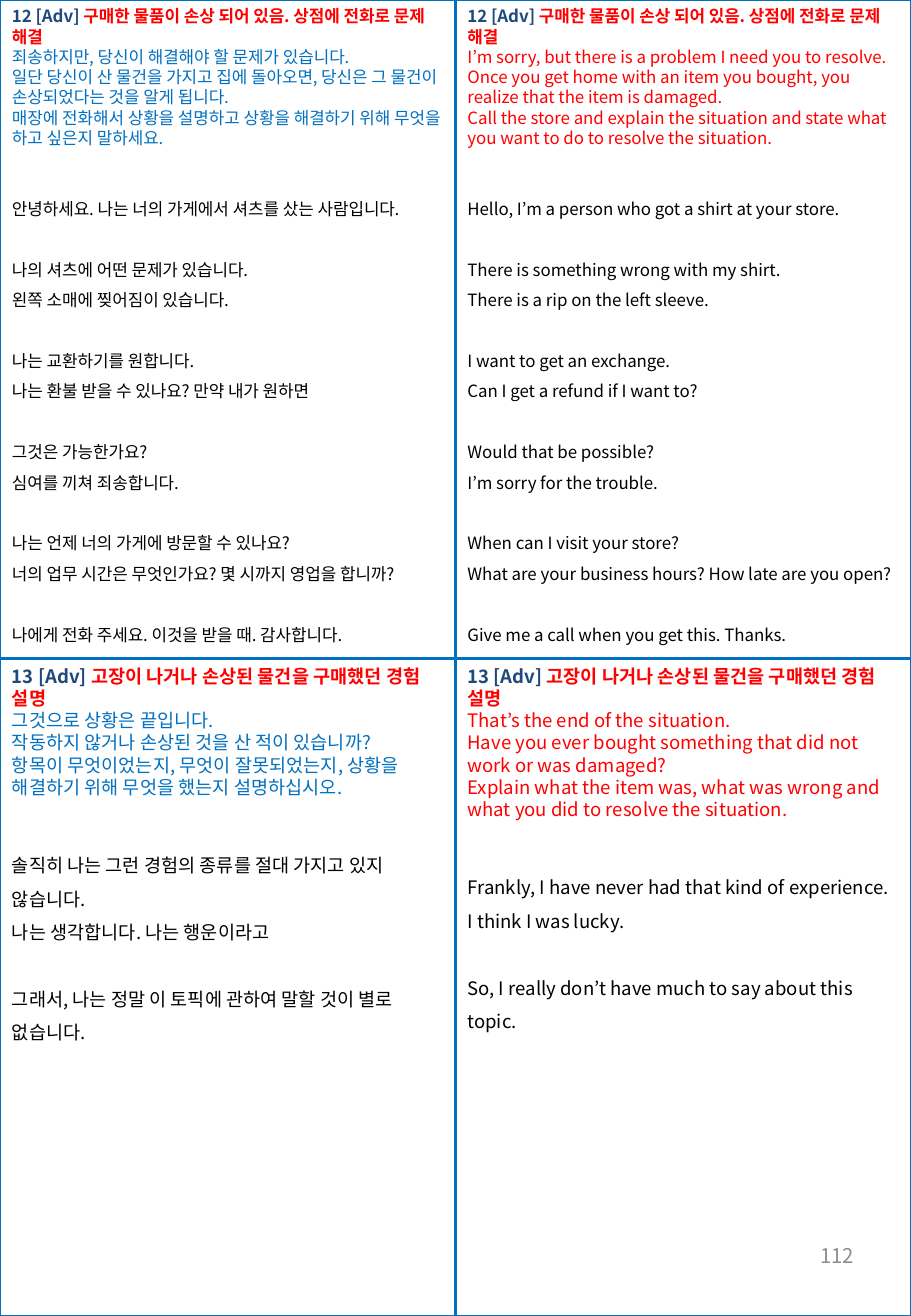
from dataclasses import dataclass

from lxml import etree
from pptx import Presentation
from pptx.dml.color import RGBColor
from pptx.enum.shapes import MSO_CONNECTOR, MSO_SHAPE
from pptx.enum.text import MSO_ANCHOR, MSO_AUTO_SIZE, PP_ALIGN
from pptx.oxml.ns import qn
from pptx.util import Emu, Pt

STRAIGHT = MSO_CONNECTOR.STRAIGHT
RECTANGLE = MSO_SHAPE.RECTANGLE
MIDDLE = MSO_ANCHOR.MIDDLE
FIT_TEXT = MSO_AUTO_SIZE.SHAPE_TO_FIT_TEXT
RIGHT = PP_ALIGN.RIGHT

EMU_PER_PX = 9144
PAGE_W, PAGE_H = 750, 1083
MID_X, MID_Y = PAGE_W // 2, 542
RULE_WIDTH = Pt(1.5)
FONT = "Noto Sans CJK KR"
LINE_HEIGHT = 1.2
ANSWER_SPACING = 1.5
COLORS = {
    "blue": "0070C0",
    "red": "FF0000",
    "navy": "1F497D",
    "black": "000000",
    "gray": "8C8C8C",
}


@dataclass(frozen=True)
class Card:
    left: int
    top: int
    height: int
    size: int
    number: str
    title: str
    question_color: str
    question: tuple[str, ...]
    answer: tuple[tuple[str, ...], ...]


DAMAGED_TITLE = "구매한 물품이 손상 되어 있음. 상점에 전화로 문제 해결"
EXPERIENCE_TITLE = "고장이 나거나 손상된 물건을 구매했던 경험 설명"

CARDS = (
    Card(
        0, 0, 537, 10, "12 [Adv] ", DAMAGED_TITLE, "blue",
        (
            "죄송하지만, 당신이 해결해야 할 문제가 있습니다.",
            "일단 당신이 산 물건을 가지고 집에 돌아오면, 당신은 그 물건이 손상되었다는 것을 알게 됩니다.",
            "매장에 전화해서 상황을 설명하고 상황을 해결하기 위해 무엇을 하고 싶은지 말하세요.",
        ),
        (
            ("안녕하세요. 나는 너의 가게에서 셔츠를 샀는 사람입니다.",),
            ("나의 셔츠에 어떤 문제가 있습니다.", "왼쪽 소매에 찢어짐이 있습니다."),
            ("나는 교환하기를 원합니다.", "나는 환불 받을 수 있나요? 만약 내가 원하면"),
            ("그것은 가능한가요?", "심여를 끼쳐 죄송합니다."),
            ("나는 언제 너의 가게에 방문할 수 있나요?",
             "너의 업무 시간은 무엇인가요? 몇 시까지 영업을 합니까?"),
            ("나에게 전화 주세요. 이것을 받을 때. 감사합니다.",),
        ),
    ),
    Card(
        MID_X, 0, 550, 10, "12 [Adv] ", DAMAGED_TITLE, "red",
        (
            "I’m sorry, but there is a problem I need you to resolve.",
            "Once you get home with an item you bought, you realize that the item is damaged.",
            "Call the store and explain the situation and state what you want to do to resolve the situation.",
        ),
        (
            ("Hello, I’m a person who got a shirt at your store.",),
            ("There is something wrong with my shirt.", "There is a rip on the left sleeve."),
            ("I want to get an exchange.", "Can I get a refund if I want to?"),
            ("Would that be possible?", "I’m sorry for the trouble."),
            ("When can I visit your store?",
             "What are your business hours? How late are you open?"),
            ("Give me a call when you get this. Thanks.",),
        ),
    ),
    Card(
        0, MID_Y, 320, 11, "13 [Adv] ", EXPERIENCE_TITLE, "blue",
        (
            "그것으로 상황은 끝입니다.",
            "작동하지 않거나 손상된 것을 산 적이 있습니까?",
            "항목이 무엇이었는지, 무엇이 잘못되었는지, 상황을 해결하기 위해 무엇을 했는지 설명하십시오.",
        ),
        (
            ("솔직히 나는 그런 경험의 종류를 절대 가지고 있지 않습니다.",
             "나는 생각합니다. 나는 행운이라고"),
            ("그래서, 나는 정말 이 토픽에 관하여 말할 것이 별로 없습니다.",),
        ),
    ),
    Card(
        MID_X, MID_Y, 310, 11, "13 [Adv] ", EXPERIENCE_TITLE, "red",
        (
            "That’s the end of the situation.",
            "Have you ever bought something that did not work or was damaged?",
            "Explain what the item was, what was wrong and what you did to resolve the situation.",
        ),
        (
            ("Frankly, I have never had that kind of experience.", "I think I was lucky."),
            ("So, I really don’t have much to say about this topic.",),
        ),
    ),
)


def px(length: int) -> Emu:
    return Emu(length * EMU_PER_PX)


def rgb(color: str) -> RGBColor:
    return RGBColor.from_string(COLORS[color])


def add_run(paragraph, text: str, size: int, color: str, bold: bool = False) -> None:
    run = paragraph.add_run()
    run.text = text
    for attribute, value in {"size": Pt(size), "bold": bold, "name": FONT}.items():
        setattr(run.font, attribute, value)
    run.font.color.rgb = rgb(color)
    latin = run.font._element.find(qn("a:latin"))
    east_asian = etree.Element(qn("a:ea"), typeface=FONT)
    latin.addnext(east_asian)


def add_text_frame(slide, left: int, top: int, width: int, height: int):
    frame = slide.shapes.add_textbox(px(left), px(top), px(width), px(height)).text_frame
    frame.word_wrap = True
    return frame


def add_rule(slide, x1: int, y1: int, x2: int, y2: int) -> None:
    rule = slide.shapes.add_connector(STRAIGHT, px(x1), px(y1), px(x2), px(y2))
    rule.line.color.rgb = rgb("blue")
    rule.line.width = RULE_WIDTH
    etree.SubElement(rule._element.spPr, qn("a:effectLst"))


def add_border(slide) -> None:
    border = slide.shapes.add_shape(RECTANGLE, 0, 0, px(PAGE_W), px(PAGE_H))
    border.shadow.inherit = False
    border.fill.background()
    border.line.color.rgb = rgb("blue")
    border.line.width = RULE_WIDTH


def add_card(slide, card: Card) -> None:
    frame = add_text_frame(slide, card.left, card.top, MID_X, card.height)
    frame.auto_size = FIT_TEXT
    heading = frame.paragraphs[0]
    add_run(heading, card.number, card.size, "navy", bold=True)
    add_run(heading, card.title, card.size, "red", bold=True)
    for sentence in card.question:
        add_run(frame.add_paragraph(), sentence, card.size, card.question_color)

    line = card.size * LINE_HEIGHT
    for group_index, group in enumerate(card.answer):
        gap = line * (ANSWER_SPACING if group_index else 2)
        for sentence_index, sentence in enumerate(group):
            paragraph = frame.add_paragraph()
            paragraph.line_spacing = ANSWER_SPACING
            paragraph.space_before = Pt(0 if sentence_index else gap)
            add_run(paragraph, sentence, card.size, "black")


def add_page_number(slide) -> None:
    frame = add_text_frame(slide, 538, 1004, 175, 58)
    frame.vertical_anchor = MIDDLE
    frame.paragraphs[0].alignment = RIGHT
    add_run(frame.paragraphs[0], "112", 12, "gray")


def main() -> None:
    deck = Presentation()
    deck.slide_width, deck.slide_height = px(PAGE_W), px(PAGE_H)
    slide = deck.slides.add_slide(deck.slide_layouts[6])
    add_rule(slide, 0, MID_Y, PAGE_W, MID_Y)
    add_rule(slide, MID_X, 0, MID_X, PAGE_H)
    add_border(slide)
    add_page_number(slide)
    for card in CARDS:
        add_card(slide, card)
    deck.save("out.pptx")


if __name__ == "__main__":
    main()
